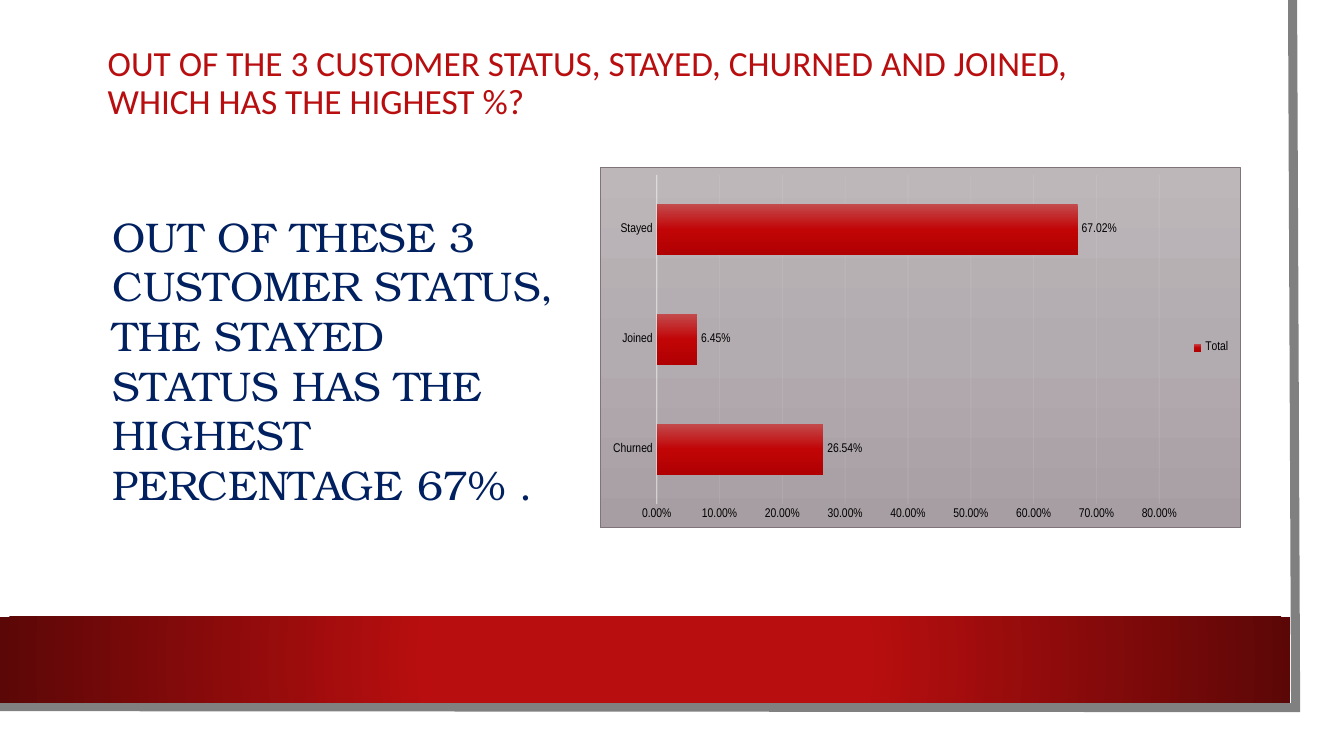
from lxml import etree
from pptx import Presentation
from pptx.chart.data import CategoryChartData
from pptx.dml.color import RGBColor
from pptx.enum.chart import XL_CHART_TYPE, XL_LABEL_POSITION, XL_LEGEND_POSITION, XL_TICK_MARK
from pptx.enum.shapes import MSO_SHAPE
from pptx.enum.text import MSO_ANCHOR
from pptx.oxml import parse_xml
from pptx.oxml.ns import nsdecls, qn
from pptx.util import Pt

PX = 9144
BAR_CLUSTERED = XL_CHART_TYPE.BAR_CLUSTERED
OUTSIDE_END = XL_LABEL_POSITION.OUTSIDE_END
LEGEND_RIGHT = XL_LEGEND_POSITION.RIGHT
NO_TICK = XL_TICK_MARK.NONE
RECTANGLE = MSO_SHAPE.RECTANGLE
TOP = MSO_ANCHOR.TOP
MIDDLE = MSO_ANCHOR.MIDDLE

COLORS = {
    "sheet": "FFFFFF", "edge": "808080", "red": "B80E0F", "dark_red": "5C0707",
    "navy": "002060", "black": "000000", "guide": "F2F2F2", "frame": "80737A",
    "panel_top": "BDB7BA", "panel_middle": "B2ABAF", "panel_bottom": "A79EA3",
    "bar_top": "C34B4C", "bar_middle": "C10507", "bar_bottom": "B00001",
}
DOWNWARD = '<a:lin ang="5400000" scaled="0"/>'
FROM_CENTRE = '<a:path path="circle"><a:fillToRect l="50000" t="50000" r="50000" b="50000"/></a:path>'
BAND_STOPS = [(34, "red"), (100, "dark_red")]
PANEL_STOPS = [(0, "panel_top"), (50, "panel_middle"), (100, "panel_bottom")]
BAR_STOPS = [(0, "bar_top"), (50, "bar_middle"), (100, "bar_bottom")]

TITLE = ["OUT OF THE 3 CUSTOMER STATUS, STAYED, CHURNED AND JOINED,", "WHICH HAS THE HIGHEST %?"]
ANSWER = ["OUT OF THESE 3 CUSTOMER STATUS, THE STAYED", "STATUS HAS THE HIGHEST PERCENTAGE 67% ."]
STATUS_SHARES = {"Churned": 0.2654, "Joined": 0.0645, "Stayed": 0.6702}


def px(*lengths):
    return [length * PX for length in lengths]


def color(name):
    return RGBColor.from_string(COLORS[name])


def apply(target, values):
    for attribute, value in values.items():
        setattr(target, attribute, value)


def set_font(font, face, size, color_name):
    apply(font, {"name": face, "size": Pt(size)})
    font.color.rgb = color(color_name)


def gradient_xml(stops, shade):
    marks = "".join(
        f'<a:gs pos="{position * 1000}"><a:srgbClr val="{COLORS[name]}"/></a:gs>'
        for position, name in stops
    )
    return f'<a:gradFill {nsdecls("a")} rotWithShape="1"><a:gsLst>{marks}</a:gsLst>{shade}</a:gradFill>'


def fill_gradient(fill, properties, stops, shade):
    fill.gradient()
    plain = properties.find(qn("a:gradFill"))
    properties.replace(plain, parse_xml(gradient_xml(stops, shade)))


def add_rectangle(slide, box):
    rectangle = slide.shapes.add_shape(RECTANGLE, *px(*box))
    rectangle.shadow.inherit = False
    rectangle.line.fill.background()
    return rectangle


def add_edge(slide):
    builder = slide.shapes.build_freeform(1282, 0, scale=PX)
    builder.add_line_segments([(1285, 702), (-3, 701)], close=False)
    edge = builder.convert_to_shape()
    edge.shadow.inherit = False
    edge.fill.background()
    edge.line.color.rgb = color("edge")
    edge.line.width = Pt(6.5)
    outline = edge._element.spPr.find(qn("a:ln"))
    etree.SubElement(outline, qn("a:miter")).set("lim", "800000")


def add_text(slide, box, lines, font, anchor, spacing):
    frame = slide.shapes.add_textbox(*px(*box)).text_frame
    apply(frame, {"word_wrap": True, "vertical_anchor": anchor})
    paragraph = frame.paragraphs[0]
    apply(paragraph, spacing)
    for index, line in enumerate(lines):
        if index:
            paragraph.add_line_break()
        run = paragraph.add_run()
        run.text = line
        set_font(run.font, *font)


def draw_guide(line, properties, width, opacity):
    line.color.rgb = color("guide")
    line.width = Pt(width)
    tint = properties.find(".//" + qn("a:srgbClr"))
    etree.SubElement(tint, qn("a:alpha")).set("val", str(opacity * 1000))


def add_panel(chart):
    panel = parse_xml(
        f'<c:spPr {nsdecls("c", "a")}>{gradient_xml(PANEL_STOPS, DOWNWARD)}'
        f'<a:ln w="{Pt(0.5)}"><a:solidFill><a:srgbClr val="{COLORS["frame"]}"/></a:solidFill></a:ln></c:spPr>'
    )
    chart._chartSpace.find(qn("c:chart")).addnext(panel)


def style_axes(chart):
    category, value = chart.category_axis, chart.value_axis
    for axis in (category, value):
        apply(axis, {"major_tick_mark": NO_TICK, "minor_tick_mark": NO_TICK, "has_major_gridlines": axis is value})
        set_font(axis.tick_labels.font, "Arial Narrow", 9, "black")
    draw_guide(category.format.line, category._element.find(qn("c:spPr")), 1, 54)
    apply(value, {"minimum_scale": 0, "maximum_scale": 0.8, "major_unit": 0.1})
    apply(value.tick_labels, {"number_format": "0.00%", "number_format_is_linked": False})
    value.format.line.fill.background()
    gridlines = value.major_gridlines.format.line
    draw_guide(gridlines, value._element.find(qn("c:majorGridlines")), 0.75, 10)


def add_status_chart(slide, box):
    shares = CategoryChartData(number_format="0.00%")
    shares.categories = list(STATUS_SHARES)
    shares.add_series("Total", list(STATUS_SHARES.values()))
    chart = slide.shapes.add_chart(BAR_CLUSTERED, *px(*box), shares).chart
    apply(chart, {"has_title": False, "has_legend": True})
    set_font(chart.font, "Arial Narrow", 10, "black")
    add_panel(chart)
    apply(chart.legend, {"position": LEGEND_RIGHT, "include_in_layout": False})
    set_font(chart.legend.font, "Arial Narrow", 9, "black")
    style_axes(chart)
    plot = chart.plots[0]
    apply(plot, {"gap_width": 115, "overlap": -20, "vary_by_categories": False})
    total = plot.series[0]
    fill = total.format.fill
    fill_gradient(fill, total._element.find(qn("c:spPr")), BAR_STOPS, DOWNWARD)
    labels = total.data_labels
    apply(labels, {
        "show_value": True, "position": OUTSIDE_END,
        "number_format": "0.00%", "number_format_is_linked": False,
    })
    set_font(labels.font, "Arial Narrow", 9, "black")


def main():
    presentation = Presentation()
    width, height = px(1333, 750)
    apply(presentation, {"slide_width": width, "slide_height": height})
    slide = presentation.slides.add_slide(presentation.slide_layouts[6])
    sheet = add_rectangle(slide, (0, 0, 1310, 727))
    sheet.fill.solid()
    sheet.fill.fore_color.rgb = color("sheet")
    add_edge(slide)
    band = add_rectangle(slide, (0, 612, 1280, 85))
    fill_gradient(band.fill, band._element.spPr, BAND_STOPS, FROM_CENTRE)
    add_text(slide, (97, 19, 1033, 128), TITLE, ("Calibri", 25.2, "red"), MIDDLE, {"line_spacing": 0.9})
    add_text(slide, (102, 204, 512, 320), ANSWER, ("TeX Gyre Bonum", 29.6, "navy"), TOP, {"space_before": Pt(10)})
    add_status_chart(slide, (595, 166, 636, 358))
    presentation.save("out.pptx")


if __name__ == "__main__":
    main()
